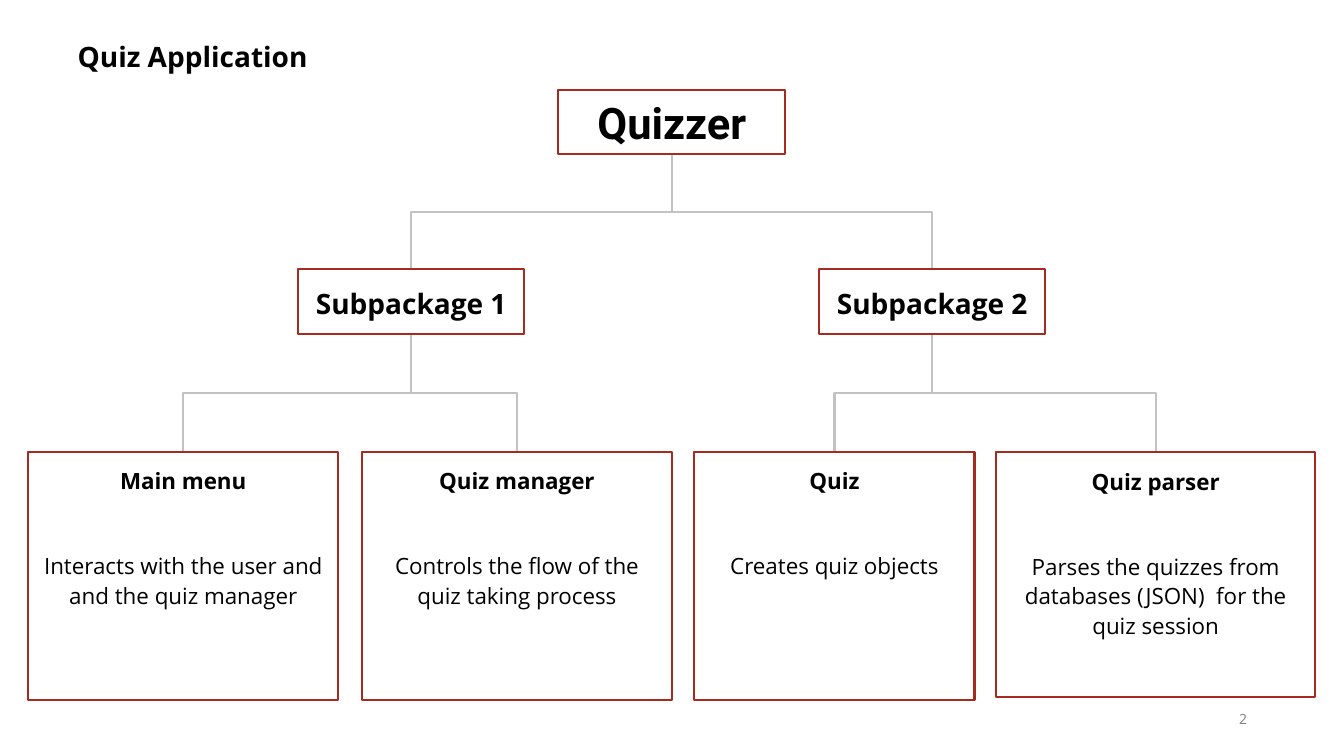
import pptx
import pptx.util
import pptx.dml.color
import pptx.enum.shapes
import pptx.enum.text
import pptx.oxml.ns
import lxml.etree

Cm, Pt = pptx.util.Cm, pptx.util.Pt
RGBColor = pptx.dml.color.RGBColor
ALIGN = pptx.enum.text.PP_ALIGN
ANCHOR = pptx.enum.text.MSO_ANCHOR
qn = pptx.oxml.ns.qn

TITLE = "Quiz Application"
PAGE = "2"
ROOT = ("Quizzer", (14.07, 2.26, 5.72, 1.63))
SUBPACKAGES = [
    ("Subpackage 1", (7.52, 6.78, 5.69, 1.63), [
        ("Main menu", "Interacts with the user and and the quiz manager", (0.71, 11.38, 7.82, 6.25)),
        ("Quiz manager", "Controls the flow of the quiz taking process", (9.12, 11.38, 7.82, 6.25)),
    ]),
    ("Subpackage 2", (20.65, 6.78, 5.69, 1.63), [
        ("Quiz", "Creates quiz objects", (17.5, 11.38, 7.06, 6.25)),
        ("Quiz parser", "Parses the quizzes from databases (JSON)  for the quiz session", (25.1, 11.4, 8.05, 6.17)),
    ]),
]

BLACK = RGBColor(0x00, 0x00, 0x00)
GREY = RGBColor(0x7F, 0x7F, 0x7F)
LINE_GREY = RGBColor(0xC2, 0xC2, 0xC2)
RED = RGBColor(0xA7, 0x2A, 0x1E)
BODY_FONT = "Open Sans"
ROOT_FONT = "Roboto"


def write(p, text, size, bold=True, color=BLACK, font=BODY_FONT, align=ALIGN.CENTER,
          before=9, spacing=1.1):
    p.text = text
    p.alignment = align
    p.space_before = Pt(before)
    p.line_spacing = spacing
    for r in p.runs:
        r.font.name = font
        r.font.size = Pt(size)
        r.font.bold = bold
        r.font.color.rgb = color


def add_box(s, at, anchor):
    sp = s.shapes.add_shape(pptx.enum.shapes.MSO_SHAPE.RECTANGLE, *map(Cm, at))
    sp.shadow.inherit = False
    sp.fill.background()
    sp.line.color.rgb = RED
    sp.line.width = Pt(1.5)
    tf = sp.text_frame
    tf.word_wrap = True
    tf.vertical_anchor = anchor
    tf.margin_left = tf.margin_right = tf.margin_top = tf.margin_bottom = Cm(0.33)
    return tf


def add_branch(s, parent, child):
    left, top, width, height = parent
    ends = sorted([(left + width / 2, top + height), (child[0] + child[2] / 2, child[1])])
    (x1, y1), (x2, y2) = ends
    cx, cy = (x1 + x2) / 2, (y1 + y2) / 2
    half_w, half_h = (x2 - x1) / 2, (y2 - y1) / 2
    cn = s.shapes.add_connector(pptx.enum.shapes.MSO_CONNECTOR.ELBOW,
                                Cm(cx + half_h), Cm(cy - half_w),
                                Cm(cx - half_h), Cm(cy + half_w))
    cn.line.color.rgb = LINE_GREY
    cn.line.width = Pt(1.5)
    spPr = cn._element.spPr
    spPr.find(qn("a:xfrm")).set("rot", str(270 * 60000))
    lxml.etree.SubElement(spPr, qn("a:effectLst"))


def main():
    prs = pptx.Presentation()
    prs.slide_width, prs.slide_height = Cm(33.87), Cm(19.05)
    s = prs.slides.add_slide(prs.slide_layouts[5])

    title = s.shapes.title
    title.left, title.top, title.width, title.height = map(Cm, (1.7, 0.64, 30.48, 1.47))
    title.text_frame.vertical_anchor = ANCHOR.MIDDLE
    write(title.text_frame.paragraphs[0], TITLE, 20, align=ALIGN.LEFT)

    tf = s.shapes.add_textbox(*map(Cm, (30.48, 17.37, 1.7, 1.47))).text_frame
    tf.word_wrap = True
    tf.vertical_anchor = ANCHOR.MIDDLE
    write(tf.paragraphs[0], PAGE, 10, False, GREY, before=0, spacing=1.0)

    root_name, root_at = ROOT
    for name, at, modules in SUBPACKAGES:
        add_branch(s, root_at, at)
        for heading, body, module_at in modules:
            add_branch(s, at, module_at)

    tf = add_box(s, root_at, ANCHOR.MIDDLE)
    write(tf.paragraphs[0], root_name, 31, font=ROOT_FONT, before=0, spacing=1.0)
    for name, at, modules in SUBPACKAGES:
        tf = add_box(s, at, ANCHOR.MIDDLE)
        write(tf.paragraphs[0], name, 20)
        for heading, body, module_at in modules:
            tf = add_box(s, module_at, ANCHOR.TOP)
            write(tf.paragraphs[0], heading, 16)
            write(tf.add_paragraph(), body, 16, False, before=39.5)

    prs.save("out.pptx")


if __name__ == "__main__":
    main()
